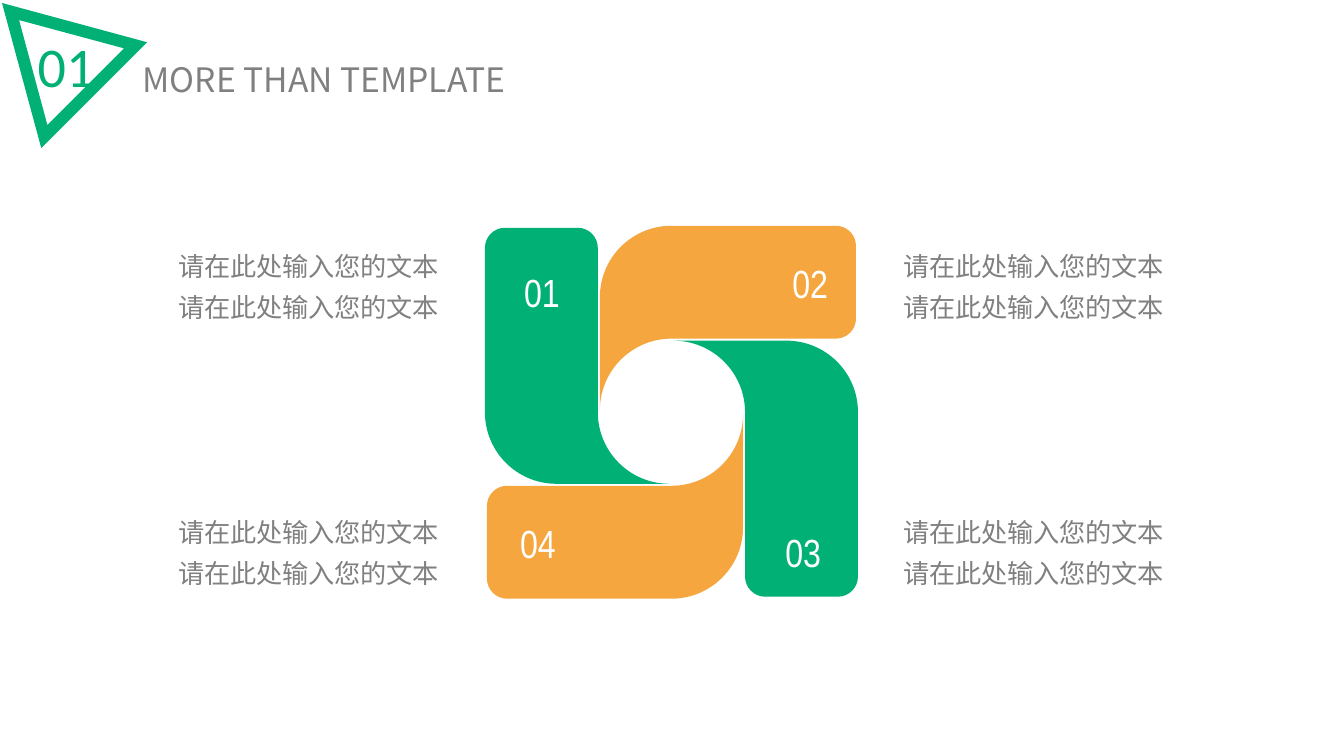
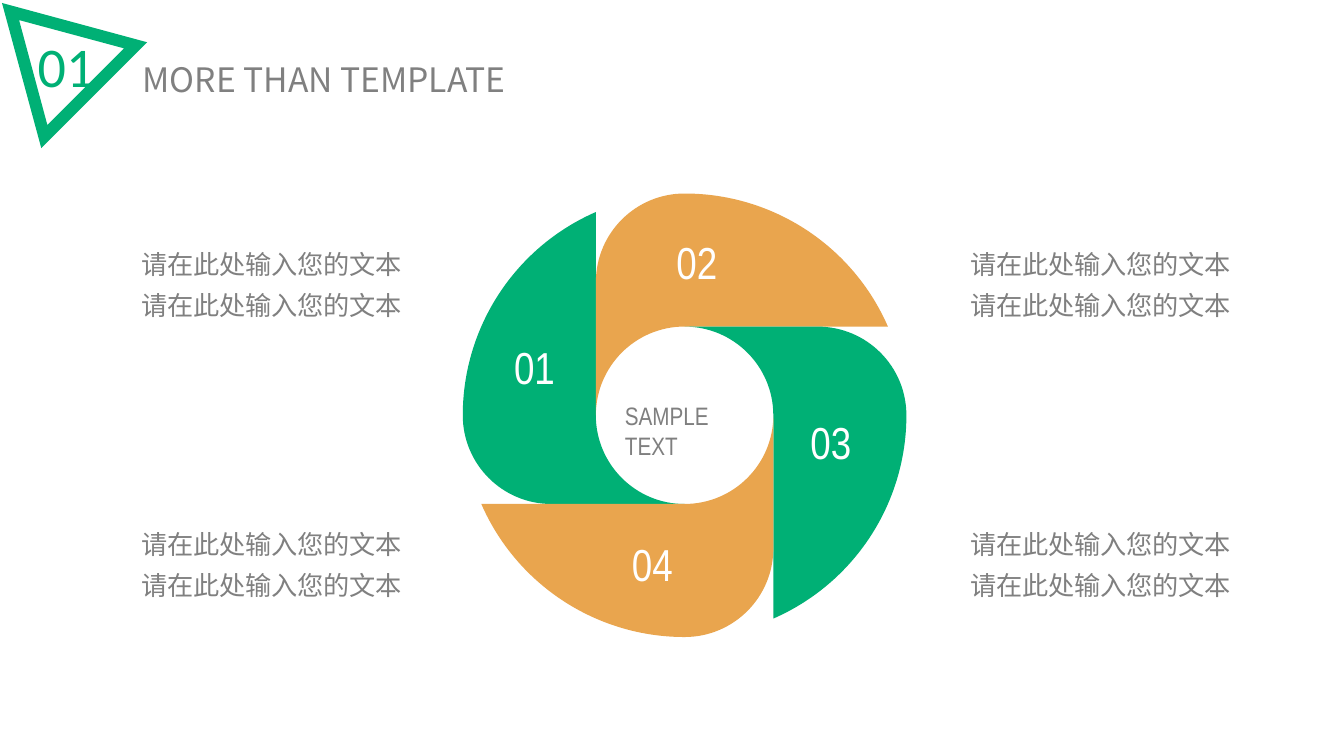
from dataclasses import dataclass
from itertools import product
from math import acos, cos, degrees, radians, sin, tan

from pptx import Presentation
from pptx.dml.color import RGBColor
from pptx.enum.text import MSO_ANCHOR as Anchor, MSO_AUTO_SIZE as AutoSize, PP_ALIGN as Align
from pptx.oxml.ns import qn
from pptx.slide import Slide
from pptx.util import Inches, Pt

Point = tuple[float, float]
Segment = tuple[Point, ...]  # one point: straight to it; three points: cubic curve


@dataclass(frozen=True)
class Theme:
    green: str = "00B075"
    orange: str = "F5A63E"
    sand: str = "E9A54E"
    white: str = "FFFFFF"
    gray: str = "808080"
    hub_gray: str = "7F7F7F"
    body_font: str = "Noto Sans CJK SC"
    label_font: str = "Arial Narrow"
    badge_font: str = "Calibri"
    badge_size: float = 40
    title_size: float = 24
    note_size: float = 18.67
    hub_size: float = 18
    ring_label_size: float = 28
    wheel_label_size: float = 32


THEME = Theme()


@dataclass(frozen=True)
class Arc:
    """Circular arc in inches and degrees, clockwise from the right."""
    x: float
    y: float
    radius: float
    start: float
    end: float

    def segments(self) -> list[Segment]:
        """Straight to the start of the arc, then one cubic curve to its end."""
        a, b = radians(self.start), radians(self.end)
        reach = 4 / 3 * tan((b - a) / 4)

        def at(angle: float, pull: float = 0) -> Point:
            return (self.x + self.radius * (cos(angle) - pull * sin(angle)),
                    self.y + self.radius * (sin(angle) + pull * cos(angle)))

        return [(at(a),), (at(a, reach), at(b, -reach), at(b))]


@dataclass(frozen=True)
class Label:
    text: str
    left: float
    top: float
    width: float


@dataclass(frozen=True)
class Pinwheel:
    center: Point
    petal: tuple[Arc, ...]  # first petal, relative to the center
    accent: str
    labels: tuple[Label, ...]
    label_size: float
    label_height: float
    note_lefts: tuple[float, float]
    note_tops: tuple[float, float]
    note_width: float
    hub: str = ""


# Petals: straight edges join one arc to the next
RING_PETAL = (
    Arc(-1.65, -1.63, 0.2, 180, 270),
    Arc(-0.93, -1.63, 0.2, 270, 360),
    Arc(-0.02, 0, 0.71, 180, 90),
    Arc(-1.14, 0, 0.71, 90, 180),
)
HUB_RADIUS, WHEEL_RADIUS = 0.88, 2.2
WHEEL_PETAL = (
    Arc(0, 0, HUB_RADIUS, 180, 90),
    Arc(HUB_RADIUS - WHEEL_RADIUS, 0, HUB_RADIUS, 90, 180),
    Arc(0, 0, WHEEL_RADIUS, 180, 180 + degrees(acos(HUB_RADIUS / WHEEL_RADIUS))),
)

PINWHEELS = (
    Pinwheel(
        center=(6.66, 4.09), petal=RING_PETAL, accent=THEME.orange,
        labels=(Label("01", 5.1, 2.61, 0.56), Label("02", 7.76, 2.52, 0.61),
                Label("03", 7.69, 5.19, 0.62), Label("04", 5.06, 5.1, 0.61)),
        label_size=THEME.ring_label_size, label_height=0.57,
        note_lefts=(1.6, 8.79), note_tops=(2.34, 4.98), note_width=2.92,
    ),
    Pinwheel(
        center=(6.79, 4.12), petal=WHEEL_PETAL, accent=THEME.sand,
        labels=(Label("01", 5, 3.32, 0.61), Label("02", 6.61, 2.28, 0.67),
                Label("03", 7.94, 4.07, 0.68), Label("04", 6.17, 5.28, 0.67)),
        label_size=THEME.wheel_label_size, label_height=0.64,
        note_lefts=(0.96, 9.18), note_tops=(2.32, 5.1), note_width=3.47,
        hub="SAMPLE TEXT",
    ),
)
NOTE = ("请在此处输入您的文本",) * 2
BADGE_OUTER = [((0.02, 0.03),), ((1.46, 0.42),), ((0.41, 1.47),)]
BADGE_INNER = [((0.19, 0.2),), ((0.47, 1.24),), ((1.23, 0.48),)]


def add_text(slide: Slide, *lines: str, left: float, top: float, width: float, height: float,
             size: float, color: str, font: str = THEME.body_font, align: Align = Align.LEFT,
             anchor: Anchor = Anchor.TOP, wrap: bool = True, spacing: float = 1.0) -> None:
    frame = slide.shapes.add_textbox(
        Inches(left), Inches(top), Inches(width), Inches(height)).text_frame
    frame.word_wrap = wrap
    frame.auto_size = AutoSize.SHAPE_TO_FIT_TEXT
    frame.vertical_anchor = anchor
    for i, line in enumerate(lines):
        paragraph = frame.add_paragraph() if i else frame.paragraphs[0]
        paragraph.alignment = align
        paragraph.line_spacing = spacing
        run = paragraph.add_run()
        run.text = line
        run.font.size = Pt(size)
        run.font.name = font
        run.font.color.rgb = RGBColor.from_string(color)
        # East Asian typeface
        east_asian = run.font._element.makeelement(qn("a:ea"), {"typeface": font})
        run.font._element.append(east_asian)


def add_outline(slide: Slide, *contours: list[Segment], color: str) -> None:
    scaled = [[[(Inches(x), Inches(y)) for x, y in segment] for segment in contour]
              for contour in contours]
    builder = slide.shapes.build_freeform(*scaled[0][0][-1], scale=1.0)
    for i, contour in enumerate(scaled):
        if i:
            builder.move_to(*contour[0][-1])
        builder.add_line_segments([segment[-1] for segment in contour[1:]], close=True)
    shape = builder.convert_to_shape()
    shape.shadow.inherit = False
    shape.fill.solid()
    shape.fill.fore_color.rgb = RGBColor.from_string(color)
    shape.line.fill.background()

    # Bend the edges that are curves
    outline = next(shape._element.iter(qn("a:path")))
    edges = [edge for edge in outline if edge.tag != qn("a:close")]
    segments = [segment for contour in scaled for segment in contour]
    for edge, segment in zip(edges, segments):
        if len(segment) == 3:
            curve = edge.makeelement(qn("a:cubicBezTo"), {})
            for x, y in segment:
                curve.append(edge.makeelement(
                    qn("a:pt"), {"x": str(x - shape.left), "y": str(y - shape.top)}))
            outline.replace(edge, curve)


def add_header(slide: Slide) -> None:
    add_text(slide, "01", left=0.27, top=0.26, width=0.77, height=0.77,
             size=THEME.badge_size, color=THEME.green, font=THEME.badge_font,
             align=Align.CENTER, anchor=Anchor.MIDDLE, wrap=False)
    add_outline(slide, BADGE_OUTER, BADGE_INNER, color=THEME.green)
    add_text(slide, "MORE THAN TEMPLATE", left=0.81, top=0.53, width=4.81, height=0.51,
             size=THEME.title_size, color=THEME.gray,
             align=Align.CENTER, anchor=Anchor.MIDDLE)


def add_pinwheel(slide: Slide, wheel: Pinwheel) -> None:
    # Petals: a quarter turn from each to the next
    center_x, center_y = wheel.center
    petal = [segment for arc in wheel.petal for segment in arc.segments()]
    for i in range(len(wheel.labels)):
        add_outline(slide,
                    [tuple((center_x + x, center_y + y) for x, y in segment) for segment in petal],
                    color=wheel.accent if i % 2 else THEME.green)
        petal = [tuple((-y, x) for x, y in segment) for segment in petal]

    # Numbers and hub
    for label in wheel.labels:
        add_text(slide, label.text, left=label.left, top=label.top, width=label.width,
                 height=wheel.label_height, size=wheel.label_size, color=THEME.white,
                 font=THEME.label_font, wrap=False)
    if wheel.hub:
        add_text(slide, wheel.hub, left=6.1, top=3.92, width=1.47, height=0.4,
                 size=THEME.hub_size, color=THEME.hub_gray, font=THEME.label_font)

    # Notes in the four corners
    for top, left in product(wheel.note_tops, wheel.note_lefts):
        add_text(slide, *NOTE, left=left, top=top, width=wheel.note_width, height=0.92,
                 size=THEME.note_size, color=THEME.gray, align=Align.CENTER, spacing=1.3)


def main() -> None:
    deck = Presentation()
    deck.slide_width, deck.slide_height = Inches(13.33), Inches(7.5)
    for wheel in PINWHEELS:
        slide = deck.slides.add_slide(deck.slide_layouts[6])
        add_header(slide)
        add_pinwheel(slide, wheel)
    deck.save("out.pptx")


if __name__ == "__main__":
    main()
